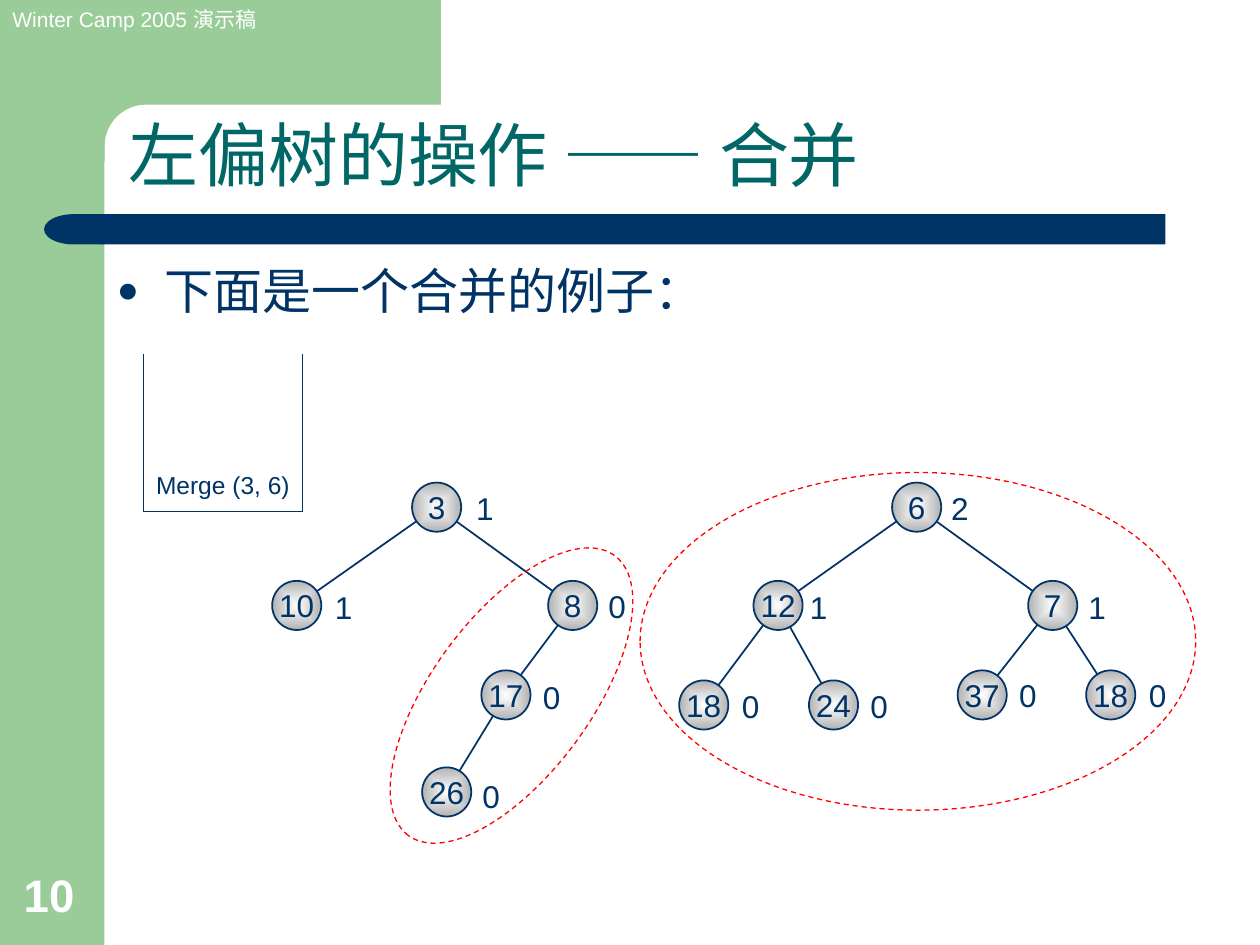
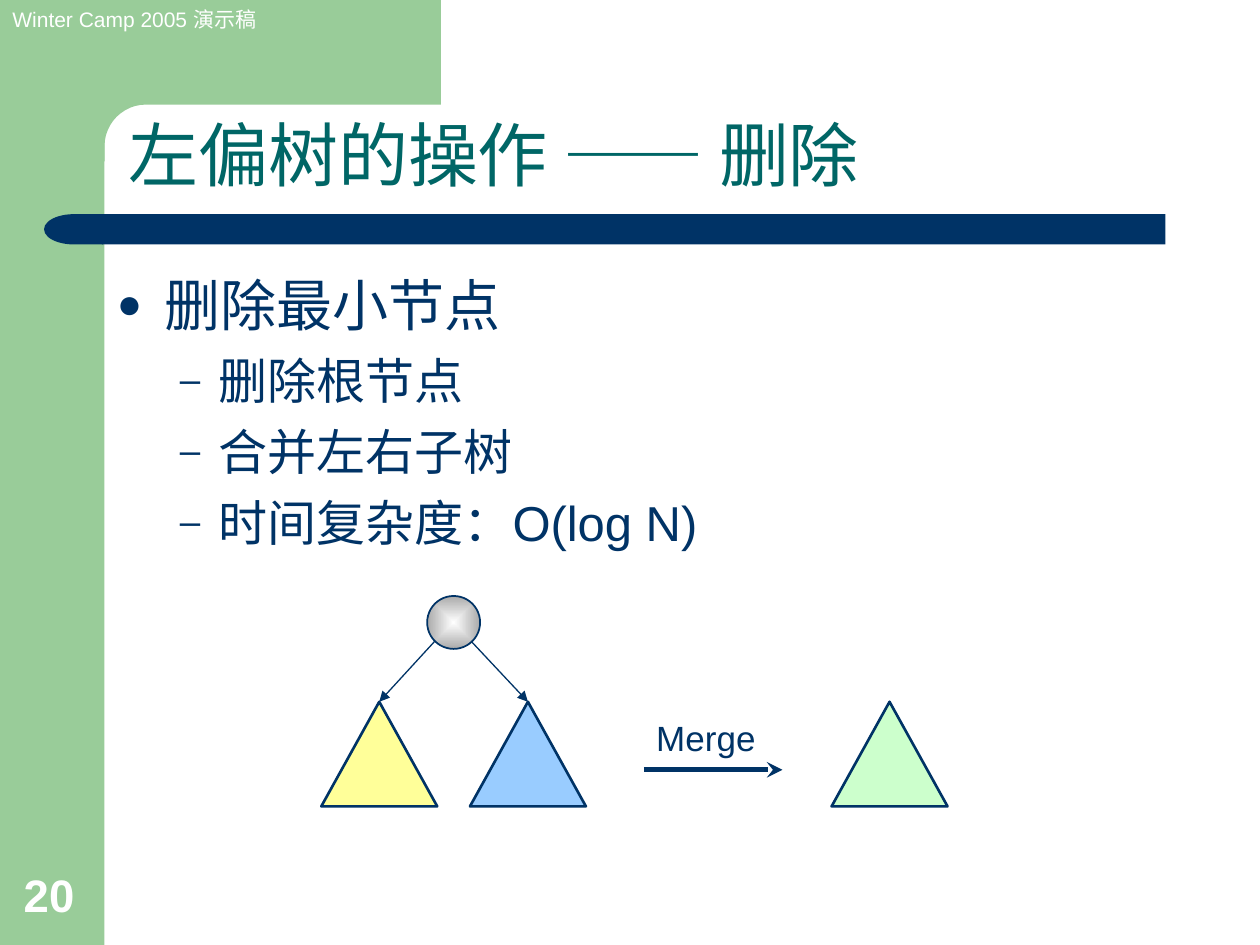
from math import cos, pi, sin

from lxml.etree import SubElement
from pptx import Presentation
from pptx.dml.color import RGBColor
from pptx.enum.dml import MSO_LINE
from pptx.enum.shapes import MSO_CONNECTOR, MSO_SHAPE
from pptx.enum.text import MSO_ANCHOR, PP_ALIGN
from pptx.oxml import parse_xml
from pptx.oxml.ns import nsdecls, qn
from pptx.util import Inches, Pt

# ---- Content ----
COLORS = {
    "navy": "003366", "teal": "006666", "band": "99CC99", "white": "FFFFFF",
    "red": "FF0000", "yellow": "FFFF99", "blue": "99CCFF", "mint": "CCFFCC",
    "node gray": "B2B2B2", "root gray": "AAAAAA",
}
LATIN, CJK = "Arial", "Noto Sans CJK SC"
HEADER = "Winter Camp 2005 演示稿"
TOPIC = "左偏树的操作 "

# Bullet level: (character, indent, hanging, size, space before)
LEVELS = [("●", 0.38, 0.38, 32, 8), ("–", 0.81, 0.31, 28, 7)]

# Tree node: (key, distance, left, top, distance label shift, children)
LEFT_TREE = ("3", "1", 3.27, 3.83, (0.02, 0), [
    ("10", "1", 2.16, 4.61, (0.01, 0.01), []),
    ("8", "0", 4.35, 4.61, (-0.01, 0), [
        ("17", "0", 3.82, 5.32, (0, 0.01), [
            ("26", "0", 3.35, 6.09, (-0.01, 0.03), [])])])])
RIGHT_TREE = ("6", "2", 7.08, 3.83, (-0.02, 0), [
    ("12", "1", 5.98, 4.61, (-0.04, 0.01), [
        ("18", "0", 5.39, 5.4, (0.01, 0), []),
        ("24", "0", 6.42, 5.4, (0, 0), [])]),
    ("7", "1", 8.16, 4.61, (-0.01, 0.01), [
        ("37", "0", 7.6, 5.32, (0, 0), []),
        ("18", "0", 8.62, 5.32, (0.01, 0), [])])])
NODE = 0.39

# Subtrees still to merge: (left, top, width, height, rotation)
MERGE_RINGS = [(2.68, 4.89, 2.76, 1.26, 306.4), (5.08, 3.75, 4.41, 2.68, 0)]

TRIANGLE_W, TRIANGLE_H, TRIANGLE_TOP = 0.92, 0.83, 5.57
SUBTREES = [(2.55, "yellow", 3.45), (3.73, "blue", 3.74)]  # left, fill, arrow start
MERGED_LEFT = 6.6

prs = Presentation()
prs.slide_width, prs.slide_height = Inches(10), Inches(7.5)


# ---- Drawing helpers ----
def rgb(name):
    return RGBColor.from_string(COLORS[name])


def add_run(paragraph, text, size, color="navy", bold=False, latin=LATIN):
    run = paragraph.add_run()
    run.text = text
    run.font.size, run.font.bold, run.font.name = Pt(size), bold, latin
    run.font.color.rgb = rgb(color)
    SubElement(run.font._element, qn("a:ea")).set("typeface", CJK)


def add_text(slide, box, text="", size=18, color="navy", bold=False,
             anchor=MSO_ANCHOR.TOP, wrap=False):
    frame = slide.shapes.add_textbox(*map(Inches, box)).text_frame
    frame.word_wrap, frame.vertical_anchor = wrap, anchor
    if text:
        add_run(frame.paragraphs[0], text, size, color, bold)
    return frame


def paint(shape, fill=None, line=None, width=0.99):
    shape.shadow.inherit = False
    if fill:
        shape.fill.solid()
        shape.fill.fore_color.rgb = rgb(fill)
    else:
        shape.fill.background()
    if line:
        shape.line.color.rgb, shape.line.width = rgb(line), Pt(width)
    else:
        shape.line.fill.background()


def add_shape(slide, kind, box, fill=None, line=None, width=0.99):
    shape = slide.shapes.add_shape(kind, *map(Inches, box))
    paint(shape, fill, line, width)
    return shape


def add_line(slide, start, end, width=0.99, head=None):
    line = slide.shapes.add_connector(
        MSO_CONNECTOR.STRAIGHT, *map(Inches, (*start, *end)))
    line.line.color.rgb, line.line.width = rgb("navy"), Pt(width)
    if head:
        SubElement(line.line._get_or_add_ln(), qn("a:tailEnd")).set("type", head)
    SubElement(line._element.spPr, qn("a:effectLst"))


def add_ball(slide, left, top, size, edge):
    ball = add_shape(slide, MSO_SHAPE.OVAL, (left, top, size, size), "white", "navy")
    gradient = parse_xml(
        f'<a:gradFill {nsdecls("a")} rotWithShape="1"><a:gsLst>'
        f'<a:gs pos="0"><a:srgbClr val="{COLORS["white"]}"/></a:gs>'
        f'<a:gs pos="100000"><a:srgbClr val="{COLORS[edge]}"/></a:gs></a:gsLst>'
        '<a:path path="rect"><a:fillToRect l="50000" t="50000" r="50000" b="50000"/>'
        '</a:path></a:gradFill>')
    properties = ball._element.spPr
    properties.replace(properties.find(qn("a:solidFill")), gradient)
    return ball


def add_bullet(frame, text, level, size=None, before=None):
    mark, indent, hanging, level_size, level_before = LEVELS[level]
    first = frame.paragraphs[0]
    paragraph = frame.add_paragraph() if first.runs else first
    paragraph.level = level
    paragraph.space_before = Pt(before or level_before)
    props = paragraph._p.get_or_add_pPr()
    props.set("marL", str(Inches(indent)))
    props.set("indent", str(-Inches(hanging)))
    color = SubElement(props, qn("a:buClr"))
    SubElement(color, qn("a:srgbClr")).set("val", COLORS["navy"])
    SubElement(props, qn("a:buSzPct")).set("val", "75000")
    SubElement(props, qn("a:buFont")).set("typeface", LATIN)
    SubElement(props, qn("a:buChar")).set("char", mark)
    add_run(paragraph, text, size or level_size)


# ---- Shared slide frame ----
def add_framed_slide(operation, number):
    slide = prs.slides.add_slide(prs.slide_layouts[6])

    # Green side band and top band with a rounded inner corner
    add_shape(slide, MSO_SHAPE.RECTANGLE, (0, 0, 0.83, 7.5), "band")
    radius, corner = 0.33, 1.16
    arc = [(corner - radius * sin(step * pi / 24), corner - radius * cos(step * pi / 24))
           for step in range(13)]
    outline = [(3.5, 0), (3.5, 0.83), *arc, (0.83, 1.28), (0.5, 1.28), (0.5, 0)]
    points = [(Inches(x), Inches(y)) for x, y in outline]
    builder = slide.shapes.build_freeform(*points[0])
    builder.add_line_segments(points[1:], close=True)
    paint(builder.convert_to_shape(), "band")

    # Navy rule with a round left end
    add_shape(slide, MSO_SHAPE.RECTANGLE, (0.81, 1.7, 8.44, 0.24), "navy")
    cap = add_shape(slide, MSO_SHAPE.FLOWCHART_DELAY, (0.35, 1.7, 0.47, 0.24), "navy")
    cap._element.spPr.xfrm.set("flipH", "1")

    # Header, slide number, title
    add_text(slide, (0, 0, 2.28, 0.3), HEADER, 12, "white")
    add_text(slide, (0.09, 6.83, 0.64, 0.53), number, 26, "white", True,
             MSO_ANCHOR.BOTTOM)
    title = add_text(slide, (0.92, 0.93, 8.32, 0.68), anchor=MSO_ANCHOR.BOTTOM, wrap=True)
    heading = title.paragraphs[0]
    heading.line_spacing = 0.9
    for text, font in [(TOPIC, LATIN), ("——", CJK), (" " + operation, LATIN)]:
        add_run(heading, text, 40, "teal", latin=font)
    return slide


def add_tree(slide, tree):
    key, distance, left, top, (shift_x, shift_y), children = tree
    half = NODE / 2
    for child in children:
        add_line(slide, (left + half, top + half), (child[2] + half, child[3] + half))
        add_tree(slide, child)
    ball = add_ball(slide, left, top, NODE, "node gray")
    frame = ball.text_frame
    frame.word_wrap, frame.vertical_anchor = False, MSO_ANCHOR.MIDDLE
    frame.paragraphs[0].alignment = PP_ALIGN.CENTER
    add_run(frame.paragraphs[0], key, 18)
    add_text(slide, (left + NODE + shift_x, top + shift_y, 0.34, 0.4), distance)


# ---- Slide: merge ----
merge_slide = add_framed_slide("合并", "10")
merge_body = add_text(merge_slide, (0.83, 2.02, 8.43, 4.88), wrap=True)
add_bullet(merge_body, "下面是一个合并的例子：", 0, 28, 7)
add_tree(merge_slide, RIGHT_TREE)
add_tree(merge_slide, LEFT_TREE)

# Call stack, open at the top
add_text(merge_slide, (1.14, 3.67, 1.26, 0.34), "Merge (3, 6)", 14,
         anchor=MSO_ANCHOR.BOTTOM)
stack = [(1.14, 2.81), (1.14, 4.06), (2.4, 4.06), (2.4, 2.81)]
for start, end in zip(stack, stack[1:]):
    add_line(merge_slide, start, end, 0.74)

for *box, angle in MERGE_RINGS:
    ring = add_shape(merge_slide, MSO_SHAPE.OVAL, box, None, "red", 0.74)
    ring.line.dash_style = MSO_LINE.DASH
    ring.rotation = angle

# ---- Slide: delete ----
delete_slide = add_framed_slide("删除", "20")
delete_body = add_text(delete_slide, (0.83, 2.1, 8.43, 4.8), wrap=True)
for text, level in [("删除最小节点", 0), ("删除根节点", 1), ("合并左右子树", 1),
                    ("时间复杂度：O(log N)", 1)]:
    add_bullet(delete_body, text, level)

# Root with its two subtrees
add_ball(delete_slide, 3.39, 4.73, 0.42, "root gray")
for left, fill, arrow_x in SUBTREES:
    add_shape(delete_slide, MSO_SHAPE.ISOSCELES_TRIANGLE,
              (left, TRIANGLE_TOP, TRIANGLE_W, TRIANGLE_H), fill, "navy", 1.5)
    add_line(delete_slide, (arrow_x, 5.09), (left + TRIANGLE_W / 2, TRIANGLE_TOP),
             0.74, "triangle")

# Merge arrow and the merged tree
add_shape(delete_slide, MSO_SHAPE.ISOSCELES_TRIANGLE,
          (MERGED_LEFT, TRIANGLE_TOP, TRIANGLE_W, TRIANGLE_H), "mint", "navy", 1.5)
add_line(delete_slide, (5.11, 6.11), (6.21, 6.11), 3, "stealth")
add_text(delete_slide, (5.11, 5.64, 1, 0.44), "Merge", 20)

prs.save("out.pptx")
